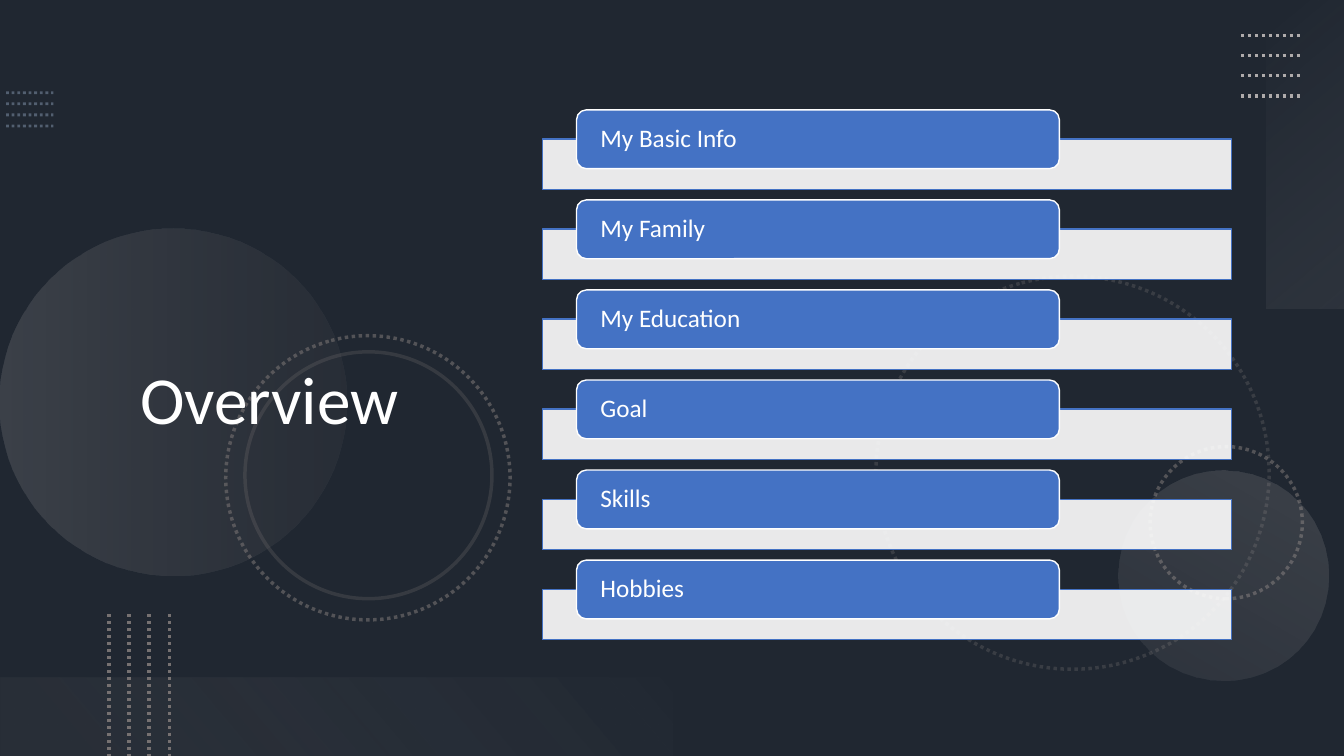
from dataclasses import dataclass
from typing import Optional

from lxml import etree
from pptx import Presentation
from pptx import util as u
from pptx.dml.color import RGBColor
from pptx.enum import dml, shapes, text
from pptx.oxml import ns

COLUMNS, ROWS = 160, 90


@dataclass(frozen=True)
class Theme:
    font: str = "Calibri"
    title_size: float = 48
    label_size: float = 18
    base: str = "44546A"
    shade: str = "000000"
    white: str = "FFFFFF"
    accent: str = "4472C4"
    steel: str = "8497B0"
    grey: str = "767171"
    silver: str = "AFABAB"
    pale: str = "F5F5F5"
    mist: str = "F1F0F0"


THEME = Theme()


@dataclass(frozen=True)
class Area:
    """Left, top, width and height in grid columns and rows."""
    left: float
    top: float
    width: float
    height: float


@dataclass(frozen=True)
class Stop:
    position: int
    color: str
    alpha: int


@dataclass(frozen=True)
class Outline:
    color: str
    points: float
    dotted: bool = False
    alpha: int = 100


@dataclass(frozen=True)
class Figure:
    kind: shapes.MSO_SHAPE
    area: Area
    rotation: float = 0
    stops: tuple[Stop, ...] = ()
    angle: int = 90
    outline: Optional[Outline] = None


@dataclass(frozen=True)
class DotLines:
    """Four parallel dotted lines; the first one starts at left, top."""
    left: float
    top: float
    length: float
    gap: float
    outline: Outline
    vertical: bool = False


OVAL, RECT = shapes.MSO_SHAPE.OVAL, shapes.MSO_SHAPE.RECTANGLE
ROUNDED = shapes.MSO_SHAPE.ROUNDED_RECTANGLE
STRONG_DOTS = Outline(THEME.grey, 2.5, True, 60)
FAINT_DOTS = Outline(THEME.grey, 2.5, True, 30)
FAINT_LINE = Outline(THEME.grey, 2.5, False, 25)

SIDE_DOTS = DotLines(0.72, 11.04, 5.64, 1.32, Outline(THEME.steel, 2, True, 50))
CORNER_DOTS = DotLines(147.72, 4.2, 7.2, 2.4, Outline(THEME.silver, 2.5, True))
FLOOR_DOTS = DotLines(12.96, 73.08, 16.92, 2.4, Outline(THEME.grey, 2.5, True), True)

CIRCLES = (
    Figure(OVAL, Area(104.28, 32.88, 46.8, 46.8), 75, outline=FAINT_DOTS),
    Figure(OVAL, Area(136.92, 53.16, 18.12, 18.12), 270, outline=STRONG_DOTS),
    Figure(OVAL, Area(0, 27.24, 41.28, 41.28), 270,
           (Stop(0, THEME.silver, 20), Stop(100, THEME.grey, 10))),
    Figure(OVAL, Area(133.2, 56.04, 24.96, 24.96), 210,
           (Stop(0, THEME.silver, 10), Stop(100, THEME.silver, 20))),
    Figure(OVAL, Area(26.88, 39.96, 33.84, 33.84), 75, outline=STRONG_DOTS),
    Figure(OVAL, Area(29.16, 41.88, 29.4, 29.4), 75, outline=FAINT_LINE),
)
SIDE_PANEL = Figure(RECT, Area(137.04, 13.68, 36.72, 9.36), 270,
                    (Stop(0, THEME.pale, 0), Stop(100, THEME.silver, 10)), 140)
FLOOR_PANEL = Figure(RECT, Area(0, 80.64, 80, 9.36), 180,
                     (Stop(10, THEME.grey, 10), Stop(100, THEME.mist, 0)), 140)

TOPICS = ("My Basic Info", "My Family", "My Education", "Goal", "Skills", "Hobbies")
TOPIC_PITCH = 10.72

deck = Presentation()
deck.slide_width, deck.slide_height = u.Inches(13.33), u.Inches(7.5)
page = deck.slides.add_slide(deck.slide_layouts[6])


def across(columns: float) -> int:
    return round(deck.slide_width * columns / COLUMNS)


def down(rows: float) -> int:
    return round(deck.slide_height * rows / ROWS)


def place(area: Area) -> tuple[int, int, int, int]:
    return across(area.left), down(area.top), across(area.width), down(area.height)


def set_alpha(fill, alpha: int) -> None:
    color = fill._xPr.find(".//" + ns.qn("a:srgbClr"))
    etree.SubElement(color, ns.qn("a:alpha")).set("val", str(alpha * 1000))


def paint(fill, color: str, alpha: int = 100) -> None:
    fill.solid()
    fill.fore_color.rgb = RGBColor.from_string(color)
    if alpha < 100:
        set_alpha(fill, alpha)


def paint_gradient(shape, stops: tuple[Stop, ...], angle: int) -> None:
    """Put a linear gradient, turning with the shape, after its geometry."""
    gradient = etree.Element(ns.qn("a:gradFill"), rotWithShape="1")
    stop_list = etree.SubElement(gradient, ns.qn("a:gsLst"))
    for stop in stops:
        entry = etree.SubElement(stop_list, ns.qn("a:gs"), pos=str(stop.position * 1000))
        color = etree.SubElement(entry, ns.qn("a:srgbClr"), val=stop.color)
        etree.SubElement(color, ns.qn("a:alpha"), val=str(stop.alpha * 1000))
    etree.SubElement(gradient, ns.qn("a:lin"), ang=str(angle * 60000), scaled="0")
    shape._element.spPr.find(ns.qn("a:prstGeom")).addnext(gradient)


def draw_outline(line, outline: Optional[Outline]) -> None:
    if outline is None:
        line.fill.background()
        return
    paint(line.fill, outline.color, outline.alpha)
    line.width = u.Pt(outline.points)
    if outline.dotted:
        line.dash_style = dml.MSO_LINE.ROUND_DOT


def add_figure(figure: Figure):
    shape = page.shapes.add_shape(figure.kind, *place(figure.area))
    shape.shadow.inherit = False
    shape.rotation = figure.rotation
    if figure.stops:
        paint_gradient(shape, figure.stops, figure.angle)
    else:
        shape.fill.background()
    draw_outline(shape.line, figure.outline)
    return shape


def add_dot_lines(dots: DotLines) -> None:
    for index in range(4):
        shift = index * dots.gap
        left = dots.left + (shift if dots.vertical else 0)
        top = dots.top + (0 if dots.vertical else shift)
        right = left + (0 if dots.vertical else dots.length)
        bottom = top + (dots.length if dots.vertical else 0)
        rule = page.shapes.add_connector(shapes.MSO_CONNECTOR.STRAIGHT, across(left),
                                         down(top), across(right), down(bottom))
        draw_outline(rule.line, dots.outline)
        etree.SubElement(rule._element.spPr, ns.qn("a:effectLst"))


def write(box, words: str, size: float, inset: float) -> None:
    frame = box.text_frame
    frame.word_wrap = True
    frame.vertical_anchor = text.MSO_ANCHOR.MIDDLE
    frame.margin_left = frame.margin_right = across(inset)
    frame.margin_top = frame.margin_bottom = 0
    para = frame.paragraphs[0]
    para.alignment = text.PP_ALIGN.LEFT
    para.line_spacing = 0.9
    span = para.add_run()
    span.text = words
    span.font.name, span.font.size = THEME.font, u.Pt(size)
    span.font.color.rgb = RGBColor.from_string(THEME.white)


def add_topic(index: int, words: str) -> None:
    shift = index * TOPIC_PITCH
    bar = add_figure(Figure(RECT, Area(64.56, 16.56 + shift, 82.08, 6),
                            outline=Outline(THEME.accent, 1)))
    paint(bar.fill, THEME.white, 90)
    tab = add_figure(Figure(ROUNDED, Area(68.64, 13.08 + shift, 57.48, 7),
                            outline=Outline(THEME.white, 1)))
    paint(tab.fill, THEME.accent)
    write(tab, words, THEME.label_size, 2.5)


paint(page.background.fill, THEME.base)
veil = add_figure(Figure(RECT, Area(0, 0, COLUMNS, ROWS)))
paint(veil.fill, THEME.shade, 53)
add_dot_lines(SIDE_DOTS)
for circle in CIRCLES:
    add_figure(circle)
add_figure(SIDE_PANEL)
add_dot_lines(CORNER_DOTS)
add_figure(FLOOR_PANEL)
add_dot_lines(FLOOR_DOTS)
title = page.shapes.add_textbox(*place(Area(15.48, 10.92, 47.88, 74)))
write(title, "Overview", THEME.title_size, 1.2)
for number, topic in enumerate(TOPICS):
    add_topic(number, topic)

deck.save("out.pptx")
